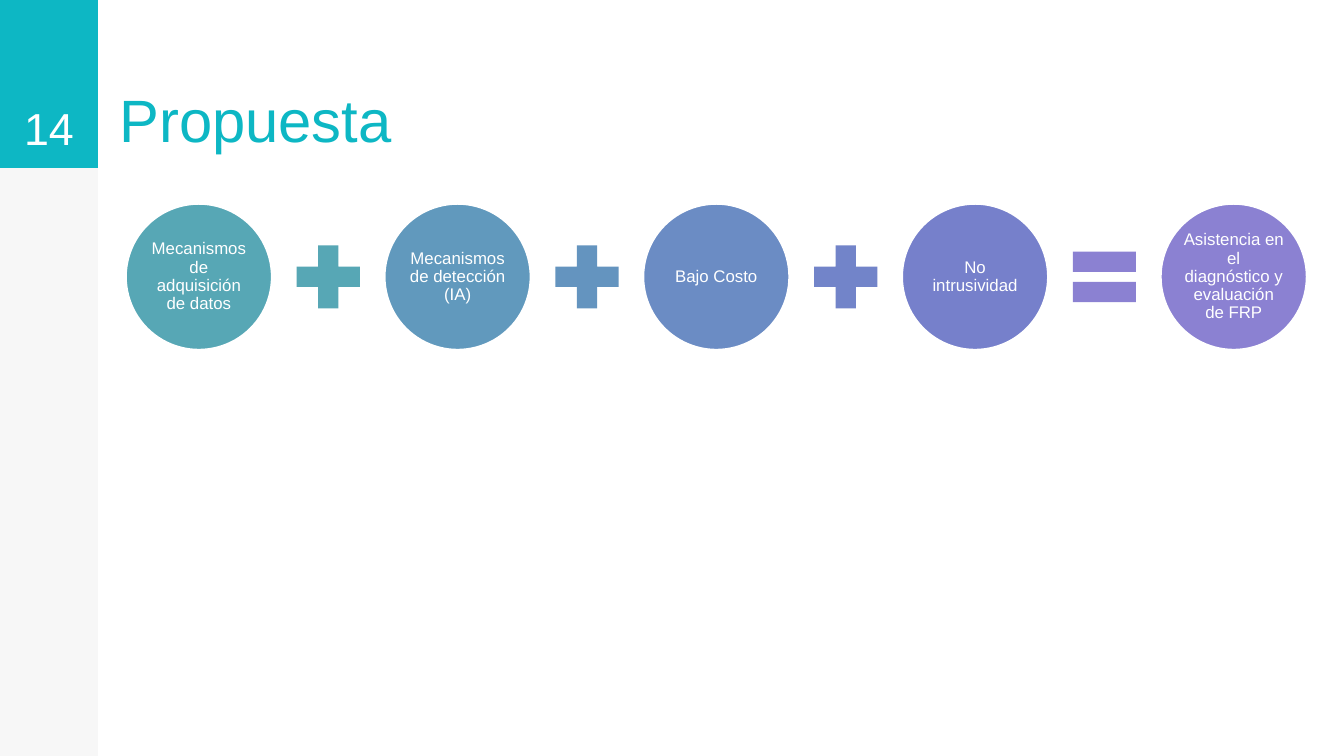
import pptx
import pptx.dml.color
import pptx.enum.shapes
import pptx.enum.text
import pptx.util

Inches = pptx.util.Inches
Shape = pptx.enum.shapes.MSO_SHAPE
Anchor = pptx.enum.text.MSO_ANCHOR
Align = pptx.enum.text.PP_ALIGN

WIDTH = 10
HEIGHT = WIDTH * 9 / 16
SIDEBAR_WIDTH, HEADER_HEIGHT = 0.73, 1.25
TEAL, WHITE, PALE_GRAY = "0DB7C4", "FFFFFF", "F7F7F7"

# Each term: text, circle colour, operator that follows, operator colour
TERMS = [
    ("Mecanismos de adquisición de datos", "57A7B5", Shape.MATH_PLUS, "57A7B5"),
    ("Mecanismos de detección (IA)", "6199BD", Shape.MATH_PLUS, "6494BF"),
    ("Bajo Costo", "6B8CC4", Shape.MATH_PLUS, "7284C9"),
    ("No intrusividad", "7680CB", Shape.MATH_EQUAL, "8B81D2"),
    ("Asistencia en el diagnóstico y evaluación de FRP", "8B81D2", None, None),
]


def color(value):
    return pptx.dml.color.RGBColor.from_string(value)


def add_filled_shape(slide, kind, box, fill, line=None):
    shape = slide.shapes.add_shape(kind, *map(Inches, box))
    shape.shadow.inherit = False
    shape.fill.solid()
    shape.fill.fore_color.rgb = color(fill)
    if line:
        shape.line.color.rgb = color(line)
        shape.line.width = pptx.util.Pt(2)
    else:
        shape.line.fill.background()
    return shape


def write_text(shape, text, size, text_color, anchor, align, inset=0.1, spacing=1.0):
    frame = shape.text_frame
    frame.word_wrap = True
    frame.vertical_anchor = anchor
    for side in ("left", "top", "right", "bottom"):
        setattr(frame, f"margin_{side}", Inches(inset))
    paragraph = frame.paragraphs[0]
    paragraph.text = text
    paragraph.alignment = align
    paragraph.line_spacing = spacing
    font_format = {"name": "Arial", "size": pptx.util.Pt(size)}
    for name, value in font_format.items():
        setattr(paragraph.font, name, value)
    paragraph.font.color.rgb = color(text_color)


def add_sidebar(slide, box, number):
    left, top, width, _ = box
    add_filled_shape(slide, Shape.RECTANGLE, box, PALE_GRAY)
    number_block = add_filled_shape(
        slide, Shape.RECTANGLE, (left, top, width, HEADER_HEIGHT), TEAL)
    write_text(number_block, number, 24, WHITE, Anchor.BOTTOM, Align.CENTER)


def add_title(slide, box, text):
    title = slide.shapes.add_textbox(*map(Inches, box))
    write_text(title, text, 32, TEAL, Anchor.BOTTOM, Align.LEFT)


def add_equation(slide, box, terms):
    """Row of circles, with an operator centred in each gap."""
    left, top, width, diameter = box
    pitch = (width - diameter) / (len(terms) - 1)
    operator_size = 0.58 * diameter
    for index, (text, fill, operator, operator_fill) in enumerate(terms):
        x = left + index * pitch
        circle = add_filled_shape(
            slide, Shape.OVAL, (x, top, diameter, diameter), fill, WHITE)
        write_text(circle, text, 9, WHITE, Anchor.MIDDLE, Align.CENTER, 0.01, 0.9)
        if operator:
            operator_left = x + (pitch + diameter - operator_size) / 2
            operator_top = top + (diameter - operator_size) / 2
            add_filled_shape(
                slide, operator,
                (operator_left, operator_top, operator_size, operator_size),
                operator_fill)


def main():
    presentation = pptx.Presentation()
    presentation.slide_width = Inches(WIDTH)
    presentation.slide_height = Inches(HEIGHT)
    slide = presentation.slides.add_slide(presentation.slide_layouts[6])
    add_sidebar(slide, (0, 0, SIDEBAR_WIDTH, HEIGHT), "14")
    add_title(slide, (0.79, 0, 5.66, HEADER_HEIGHT), "Propuesta")
    add_equation(slide, (0.93, 1.51, 8.8, 1.1), TERMS)
    presentation.save("out.pptx")


if __name__ == "__main__":
    main()
